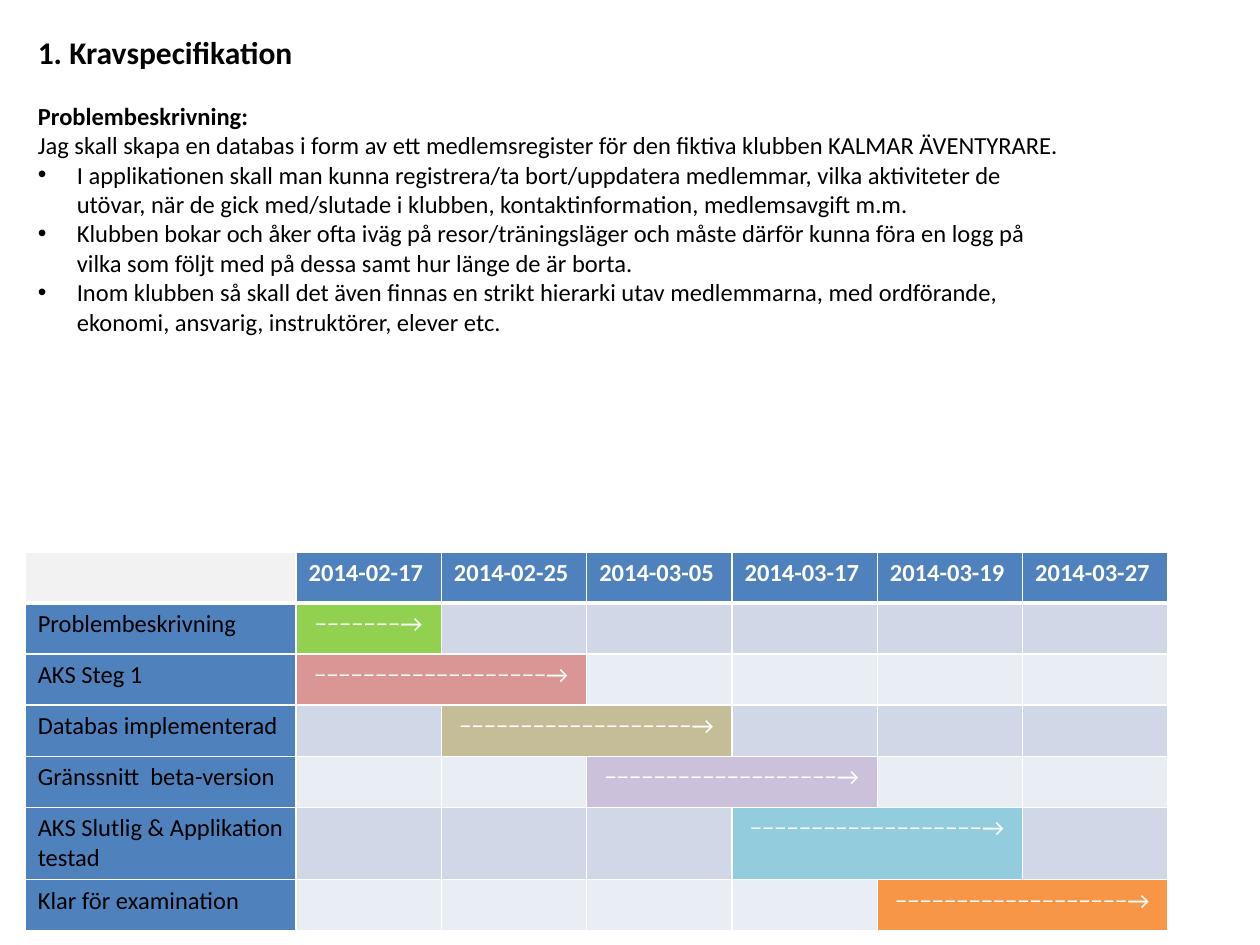
import pptx
import pptx.util
import pptx.dml.color
import pptx.enum.text
import pptx.oxml.ns
import lxml.etree

Inches = pptx.util.Inches
Pt = pptx.util.Pt
RGBColor = pptx.dml.color.RGBColor
PP_ALIGN = pptx.enum.text.PP_ALIGN

BLACK = RGBColor(0x00, 0x00, 0x00)
WHITE = RGBColor(0xFF, 0xFF, 0xFF)
BLUE = RGBColor(0x4F, 0x81, 0xBD)
PALE_GREY = RGBColor(0xF2, 0xF2, 0xF2)
BANDS = (RGBColor(0xD0, 0xD8, 0xE8), RGBColor(0xE9, 0xED, 0xF4))
GREEN = RGBColor(0x92, 0xD0, 0x50)
ROSE = RGBColor(0xD9, 0x96, 0x94)
KHAKI = RGBColor(0xC4, 0xBD, 0x97)
LILAC = RGBColor(0xCC, 0xC1, 0xDA)
AQUA = RGBColor(0x93, 0xCD, 0xDD)
ORANGE = RGBColor(0xF7, 0x96, 0x46)

HEADING = "Problembeskrivning:"
INTRO = ("Jag skall skapa en databas i form av ett medlemsregister "
         "för den fiktiva klubben KALMAR ÄVENTYRARE.")
REQUIREMENTS = (
    "I applikationen skall man kunna registrera/ta bort/uppdatera medlemmar, vilka aktiviteter "
    "de utövar, när de gick med/slutade i klubben, kontaktinformation, medlemsavgift m.m.",
    "Klubben bokar och åker ofta iväg på resor/träningsläger och måste därför kunna föra en "
    "logg på vilka som följt med på dessa samt hur länge de är borta.",
    "Inom klubben så skall det även finnas en strikt hierarki utav medlemmarna, med ordförande, "
    "ekonomi, ansvarig, instruktörer, elever etc.",
)
DATES = ("2014-02-17", "2014-02-25", "2014-03-05", "2014-03-17", "2014-03-19", "2014-03-27")
PHASES = (
    ("Problembeskrivning", 1, 1, GREEN),
    ("AKS Steg 1", 1, 2, ROSE),
    ("Databas implementerad", 2, 3, KHAKI),
    ("Gränssnitt  beta-version", 3, 4, LILAC),
    ("AKS Slutlig & Applikation testad", 4, 5, AQUA),
    ("Klar för examination", 5, 6, ORANGE),
)
DASHES = {1: 7, 2: 19}


def write(paragraph, text, size=14, color=BLACK, bold=False, align=PP_ALIGN.LEFT):
    """Put formatted text into a paragraph."""
    paragraph.alignment = align
    paragraph.space_before = Pt(0)
    run = paragraph.add_run()
    run.text = text
    run.font.name = "Calibri"
    run.font.size = Pt(size)
    run.font.bold = bold
    run.font.color.rgb = color


def set_bullet(paragraph, bulleted):
    """Give a paragraph a hanging bullet, or none."""
    properties = paragraph._p.get_or_add_pPr()
    indent = Inches(0.31) if bulleted else 0
    properties.set("marL", str(indent))
    properties.set("indent", str(-indent))
    if bulleted:
        lxml.etree.SubElement(properties, pptx.oxml.ns.qn("a:buFont"), typeface="Arial")
        lxml.etree.SubElement(properties, pptx.oxml.ns.qn("a:buChar"), char="•")
    else:
        lxml.etree.SubElement(properties, pptx.oxml.ns.qn("a:buNone"))


def place(placeholder, left, top, width, height):
    """Move a placeholder and return its top-anchored text frame."""
    placeholder.left, placeholder.top = left, top
    placeholder.width, placeholder.height = width, height
    frame = placeholder.text_frame
    frame.word_wrap = True
    frame.auto_size = pptx.enum.text.MSO_AUTO_SIZE.NONE
    frame.vertical_anchor = pptx.enum.text.MSO_ANCHOR.TOP
    return frame


def add_specification(slide, left, top, width, height):
    """Fill the title and the requirement list."""
    title_height = Inches(0.42)
    body_offset = Inches(0.54)
    title = place(slide.shapes.title, left, top, width, title_height)
    write(title.paragraphs[0], "1. Kravspecifikation", size=18, bold=True)
    body = place(slide.placeholders[1], left, top + body_offset, width, height - body_offset)
    for index, text in enumerate((HEADING, INTRO) + REQUIREMENTS):
        paragraph = body.add_paragraph() if index else body.paragraphs[0]
        write(paragraph, text, bold=text == HEADING)
        set_bullet(paragraph, text in REQUIREMENTS)


def style_cell(cell, fill, top_width, bottom_width):
    """Fill a cell and draw its white borders."""
    properties = cell._tc.get_or_add_tcPr()
    for side, width in (("L", 1), ("R", 1), ("T", top_width), ("B", bottom_width)):
        line = lxml.etree.SubElement(properties, pptx.oxml.ns.qn("a:ln" + side), w=str(Pt(width)))
        solid = lxml.etree.SubElement(line, pptx.oxml.ns.qn("a:solidFill"))
        lxml.etree.SubElement(solid, pptx.oxml.ns.qn("a:srgbClr"), val=str(WHITE))
    cell.fill.solid()
    cell.fill.fore_color.rgb = fill


def add_schedule(slide, left, top, width, height):
    """Build the time plan with one coloured bar per phase."""
    rows, columns = len(PHASES) + 1, len(DATES) + 1
    schedule = slide.shapes.add_table(rows, columns, left, top, width, height).table
    label_width = Inches(2.15)
    for index, column in enumerate(schedule.columns):
        column.width = label_width if index == 0 else (width - label_width) // len(DATES)
    for row_index in range(rows):
        for column_index in range(columns):
            if row_index == 0:
                fill = BLUE if column_index else PALE_GREY
            else:
                fill = BANDS[(row_index - 1) % 2] if column_index else BLUE
            style_cell(schedule.cell(row_index, column_index), fill,
                       3 if row_index == 1 else 1, 3 if row_index == 0 else 1)
    for index, date in enumerate(DATES, 1):
        write(schedule.cell(0, index).text_frame.paragraphs[0], date, color=WHITE, bold=True)
    for index, (phase, first, last, color) in enumerate(PHASES, 1):
        write(schedule.cell(index, 0).text_frame.paragraphs[0], phase)
        bar = schedule.cell(index, first)
        if last > first:
            bar.merge(schedule.cell(index, last))
        bar.fill.fore_color.rgb = color
        write(bar.text_frame.paragraphs[0], "−" * DASHES[last - first + 1] + "→",
              color=WHITE, align=PP_ALIGN.CENTER)


def main():
    """Build and save the slide."""
    presentation = pptx.Presentation()
    presentation.slide_width, presentation.slide_height = Inches(10), Inches(7.5)
    slide = presentation.slides.add_slide(presentation.slide_layouts[1])
    add_specification(slide, Inches(0.2), Inches(0.21), Inches(8.43), Inches(2.52))
    add_schedule(slide, Inches(0.2), Inches(4.38), Inches(9.07), Inches(2.84))
    presentation.save("out.pptx")


main()
